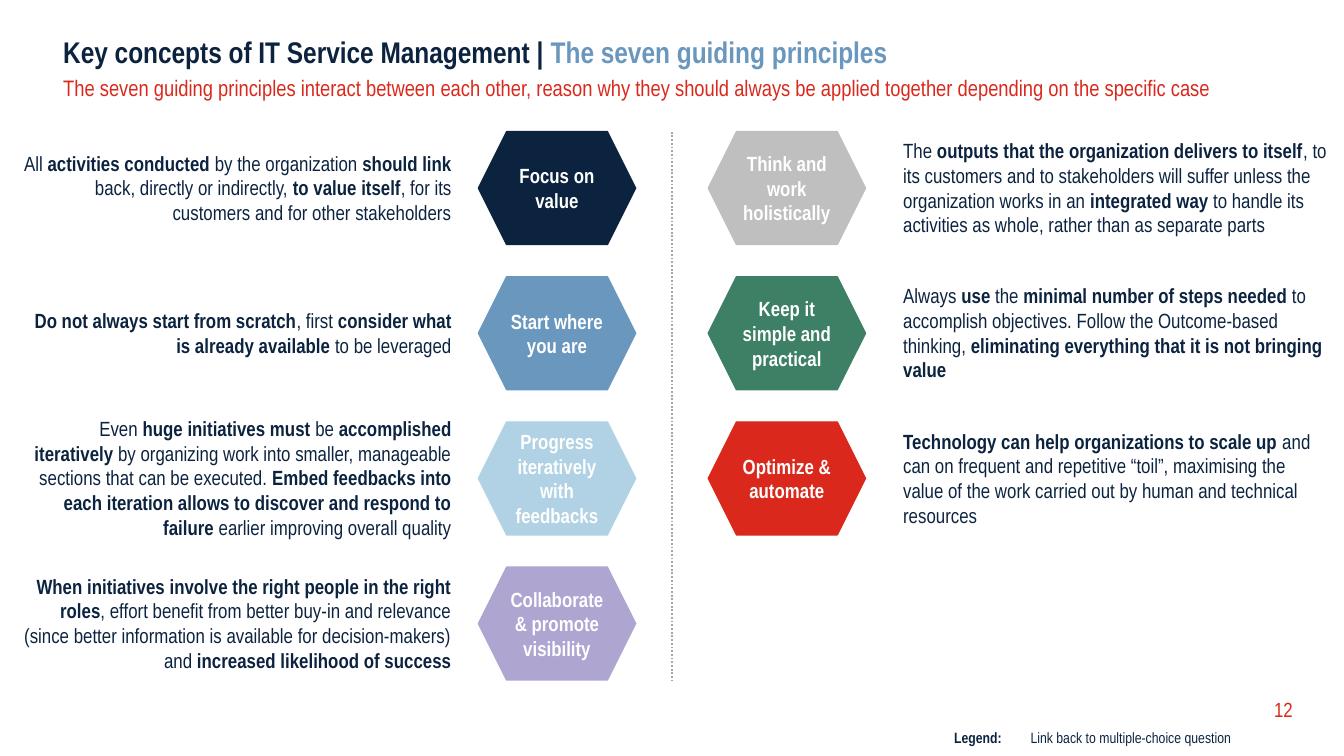
"""Builds the slide on the seven guiding principles of IT Service Management."""
import pptx
import pptx.util
import pptx.dml.color
import pptx.enum.dml
import pptx.enum.shapes
import pptx.enum.text
import pptx.oxml.ns
from lxml import etree

Pt = pptx.util.Pt
ALIGN = pptx.enum.text.PP_ALIGN
ANCHOR = pptx.enum.text.MSO_ANCHOR
NAVY, BLUE, RED, WHITE = "0C2340", "6A97BE", "DA291C", "FFFFFF"
TOP, PITCH, LINE = 70.56, 77.76, 13.35
HEX_W, HEX_H = 84.24, 60.48

LEFT = [
    ("Focus on value", NAVY, 3,
     "All **activities conducted** by the organization **should link** back, directly or "
     "indirectly, **to value itself**, for its customers and for other stakeholders"),
    ("Start where you are", BLUE, 2,
     "**Do not always start from scratch**, first **consider what is already available **"
     "to be leveraged"),
    ("Progress iteratively with feedbacks", "B1D2E4", 5,
     "Even **huge initiatives must **be **accomplished iteratively **by organizing work into "
     "smaller, manageable sections that can be executed. **Embed feedbacks into each iteration "
     "allows to discover and respond to failure **earlier improving overall quality"),
    ("Collaborate & promote visibility", "AEA5D1", 4,
     "**When initiatives involve the right people in the right roles**, effort benefit from "
     "better buy-in and relevance (since better information is available for decision-makers) "
     "and **increased likelihood of success**"),
]
RIGHT = [
    ("Think and work holistically", "BFBFBF", 4,
     "The **outputs that the organization delivers to itself**, to its customers and to "
     "stakeholders will suffer unless the organization works in an **integrated way** to handle "
     "its activities as whole, rather than as separate parts"),
    ("Keep it simple and practical", "3D8065", 4,
     "Always **use** the **minimal number of steps needed **to accomplish objectives. Follow the "
     "Outcome-based thinking, **eliminating everything that it is not bringing value**"),
    ("Optimize & automate", RED, 4,
     "**Technology can help organizations to scale up** and can on frequent and repetitive "
     "“toil”, maximising the value of the work carried out by human and technical resources"),
]


def rgb(value):
    return pptx.dml.color.RGBColor.from_string(value)


class Deck:
    font = "Arial Narrow"

    def __init__(self):
        self.prs = pptx.Presentation()
        self.prs.slide_width, self.prs.slide_height = Pt(720), Pt(405)
        self.s = self.prs.slides.add_slide(self.prs.slide_layouts[1])

    def style(self, r, size, color, bold=False):
        r.font.name, r.font.size, r.font.bold = self.font, Pt(size), bold
        r.font.color.rgb = rgb(color)

    def frame(self, sp, insets, anchor=ANCHOR.TOP):
        tf = sp.text_frame
        tf.word_wrap = True
        tf.auto_size = pptx.enum.text.MSO_AUTO_SIZE.NONE
        tf.vertical_anchor = anchor
        tf.margin_left, tf.margin_top, tf.margin_right, tf.margin_bottom = map(Pt, insets)
        return tf

    def heading(self, idx, top, height, spacing, size, parts, bold):
        sp = self.s.placeholders[idx]
        sp.left, sp.top, sp.width, sp.height = Pt(33.84), Pt(top), Pt(658), Pt(height)
        p = self.frame(sp, (0, 0, 0, 0)).paragraphs[0]
        pPr = p._p.get_or_add_pPr()
        pPr.set("marL", "0")
        pPr.set("indent", "0")
        etree.SubElement(pPr, pptx.oxml.ns.qn("a:buNone"))
        p.alignment, p.line_spacing, p.space_before = ALIGN.LEFT, Pt(spacing), Pt(0)
        for text, color in parts:
            r = p.add_run()
            r.text = text
            self.style(r, size, color, bold)

    def text(self, x, y, w, h, text, size=11, color=NAVY, align=ALIGN.LEFT,
             insets=(0, 0, 0, 0), anchor=ANCHOR.TOP):
        sp = self.s.shapes.add_textbox(Pt(x), Pt(y), Pt(w), Pt(h))
        p = self.frame(sp, insets, anchor).paragraphs[0]
        p.alignment = align
        for i, part in enumerate(text.split("**")):
            if part:
                r = p.add_run()
                r.text = part
                self.style(r, size, color, i % 2 == 1)

    def hexagon(self, x, y, text, color):
        sp = self.s.shapes.add_shape(pptx.enum.shapes.MSO_SHAPE.HEXAGON,
                                     Pt(x), Pt(y), Pt(HEX_W), Pt(HEX_H))
        sp.shadow.inherit = False
        sp.fill.solid()
        sp.fill.fore_color.rgb = rgb(color)
        sp.line.color.rgb = rgb(color)
        sp.line.width = Pt(0.75)
        tf = self.frame(sp, (2.88, 3.2, 2.88, 3.2), ANCHOR.MIDDLE)
        tf.text = text
        p = tf.paragraphs[0]
        p.alignment = ALIGN.CENTER
        self.style(p.runs[0], 11, WHITE, True)

    def divider(self, x, top, bottom):
        sp = self.s.shapes.add_connector(pptx.enum.shapes.MSO_CONNECTOR.STRAIGHT,
                                         Pt(x), Pt(top), Pt(x), Pt(bottom))
        sp.line.color.rgb = rgb("A6A6A6")
        sp.line.width = Pt(1)
        sp.line.dash_style = pptx.enum.dml.MSO_LINE.ROUND_DOT
        etree.SubElement(sp._element.spPr, pptx.oxml.ns.qn("a:effectLst"))

    def principles(self, items, hex_x, text_x, widths, align, insets):
        for i, (name, color, lines, text) in enumerate(items):
            y, h = TOP + i * PITCH, lines * LINE
            self.hexagon(hex_x, y, name, color)
            self.text(text_x, y + (HEX_H - h) / 2, widths[i], h, text,
                      align=align, insets=insets)


def main():
    d = Deck()
    d.heading(0, 19.44, 18.72, 18, 16,
              [("Key concepts of IT Service Management | ", NAVY),
               ("The seven guiding principles", BLUE)], True)
    d.heading(1, 40.32, 14.4, 13.8, 12,
              [("The seven guiding principles interact between each other, reason why they "
                "should always be applied together depending on the specific case", RED)], False)
    d.principles(LEFT, 256.32, 9.36, [241.2] * 4, ALIGN.RIGHT, (0, 0, 8.64, 0))
    d.principles(RIGHT, 379.44, 475.2, [241.2, 241.2, 235.44], ALIGN.LEFT, (8.64, 0, 0, 0))
    d.divider(360, TOP, TOP + 3 * PITCH + HEX_H)
    d.text(682.56, 375.12, 29.52, 11.52, "12", color=RED, anchor=ANCHOR.BOTTOM)
    legend = (7.2, 3.6, 7.2, 3.6)
    d.text(545, 386.64, 134, 17, "Link back to multiple-choice question", 8, insets=legend)
    d.text(504, 386.64, 42.5, 14.4, "**Legend:**", 8, insets=legend)
    d.prs.save("out.pptx")


if __name__ == "__main__":
    main()
